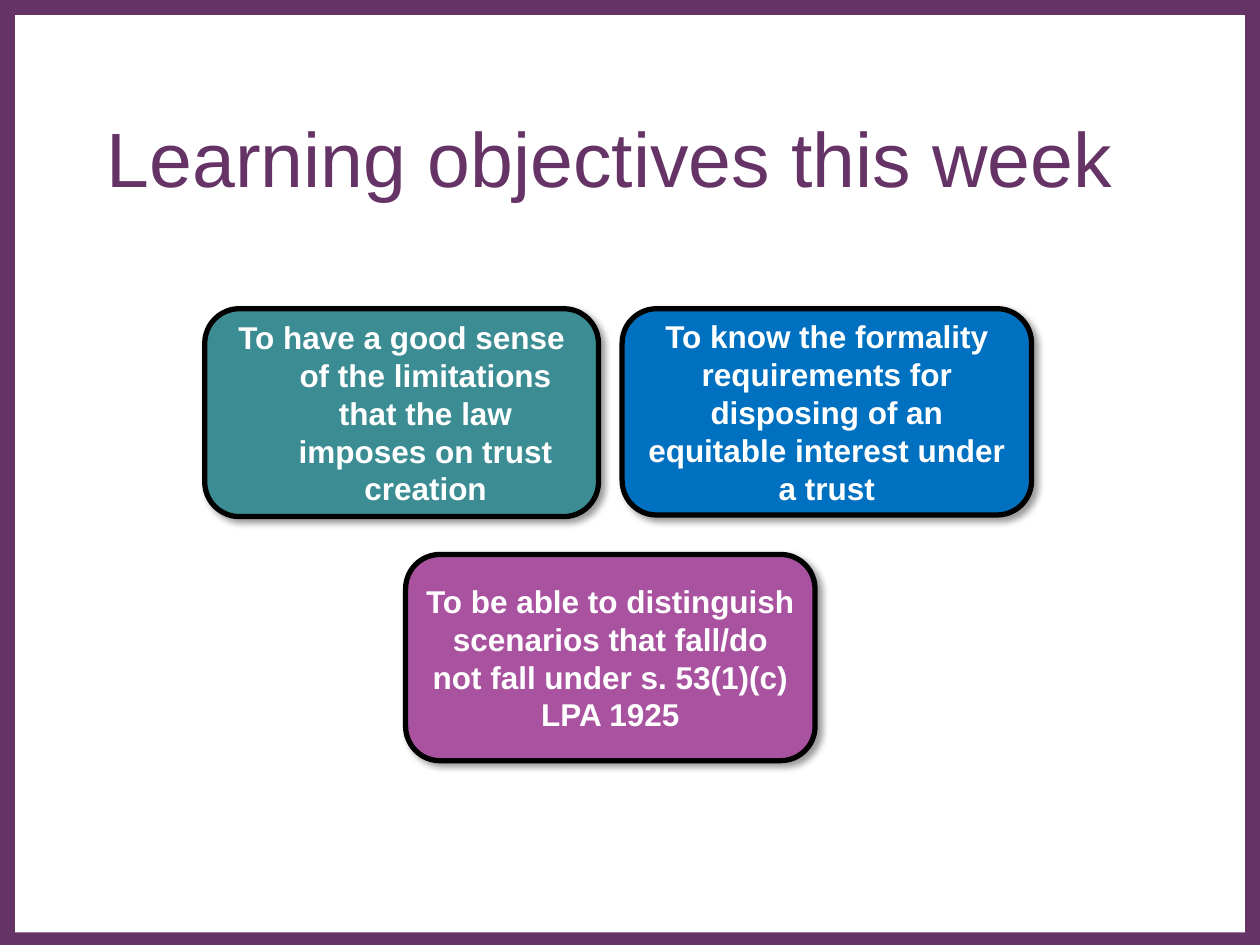
from dataclasses import dataclass

from lxml.etree import SubElement
from pptx import Presentation
from pptx.dml.color import RGBColor
from pptx.enum.shapes import MSO_SHAPE as Preset
from pptx.enum.text import MSO_ANCHOR as Anchor, PP_ALIGN as Align
from pptx.oxml.ns import qn
from pptx.util import Inches, Pt

UNIT = 0.125  # square grid: 80 columns by 60 rows
COLUMNS, ROWS = 80, 60
PURPLE, WHITE, BLACK = "663366", "FFFFFF", "000000"


@dataclass(frozen=True)
class Area:
    col: float
    row: float
    cols: float
    rows: float

    def box(self) -> list:
        return [grid(n) for n in (self.col, self.row, self.cols, self.rows)]


@dataclass(frozen=True)
class Objective:
    text: str
    area: Area
    color: str
    margins: tuple = (0.07, 0.04)
    hanging: float = 0
    space_before: float = 0


OBJECTIVES = [
    Objective("To have a good sense of the limitations that the law imposes on trust creation",
              Area(13, 19.6, 25, 13.2), "3C8C93", (0.1, 0.05), 0.38, 3.6),
    Objective("To know the formality requirements for disposing of an equitable interest under a trust",
              Area(39.5, 19.6, 26, 13.1), "0070C0"),
    Objective("To be able to distinguish scenarios that fall/do not fall under s. 53(1)(c) LPA 1925",
              Area(25.75, 35.2, 26, 13.1), "A953A0"),
]


def grid(count: float) -> int:
    return Inches(count * UNIT)


def rgb(color: str) -> RGBColor:
    return RGBColor.from_string(color)


def add_block(slide, preset, area: Area, color: str):
    block = slide.shapes.add_shape(preset, *area.box())
    block.shadow.inherit = False
    block.fill.solid()
    block.fill.fore_color.rgb = rgb(color)
    block.line.fill.background()
    return block


def add_run(paragraph, text: str, size: float, color: str, bold: bool = False) -> None:
    run = paragraph.add_run()
    run.text = text
    run.font.name = "Arial"
    run.font.size = Pt(size)
    run.font.bold = bold
    run.font.color.rgb = rgb(color)


def cast_shadow(block) -> None:
    """Soft black shadow falling to the lower right."""
    effects = block._element.spPr.find(qn("a:effectLst"))
    shadow = SubElement(effects, qn("a:outerShdw"), blurRad=str(Pt(4)), dist=str(Pt(3)),
                        dir=str(45 * 60000), algn="tl", rotWithShape="0")
    tint = SubElement(shadow, qn("a:srgbClr"), val=BLACK)
    SubElement(tint, qn("a:alpha"), val="40000")


def add_title(slide, text: str, area: Area) -> None:
    title = slide.shapes.add_textbox(*area.box())
    frame = title.text_frame
    frame.word_wrap = True
    frame.margin_top = 0
    add_run(frame.paragraphs[0], text, 44, PURPLE)


def add_objective(slide, objective: Objective) -> None:
    card = add_block(slide, Preset.ROUNDED_RECTANGLE, objective.area, objective.color)
    card.line.color.rgb = rgb(BLACK)
    card.line.width = Pt(3)
    cast_shadow(card)

    frame = card.text_frame
    frame.word_wrap = True
    frame.vertical_anchor = Anchor.MIDDLE
    side, edge = (Inches(margin) for margin in objective.margins)
    frame.margin_left = frame.margin_right = side
    frame.margin_top = frame.margin_bottom = edge

    paragraph = frame.paragraphs[0]
    paragraph.alignment = Align.CENTER
    if objective.hanging:
        indent = Inches(objective.hanging)
        properties = paragraph._p.get_or_add_pPr()
        properties.set("marL", str(indent))
        properties.set("indent", str(-indent))
    paragraph.space_before = Pt(objective.space_before)
    add_run(paragraph, objective.text, 18, WHITE, bold=True)


def main() -> None:
    deck = Presentation()
    deck.slide_width, deck.slide_height = grid(COLUMNS), grid(ROWS)
    slide = deck.slides.add_slide(deck.slide_layouts[6])

    # Purple border around a white page
    add_block(slide, Preset.RECTANGLE, Area(0, 0, COLUMNS, ROWS), PURPLE)
    add_block(slide, Preset.RECTANGLE, Area(0.96, 0.96, 78.08, 58.24), WHITE)

    # Heading
    add_title(slide, "Learning objectives this week", Area(6, 7, 68, 10))

    # Objective cards
    for objective in OBJECTIVES:
        add_objective(slide, objective)

    deck.save("out.pptx")


if __name__ == "__main__":
    main()
